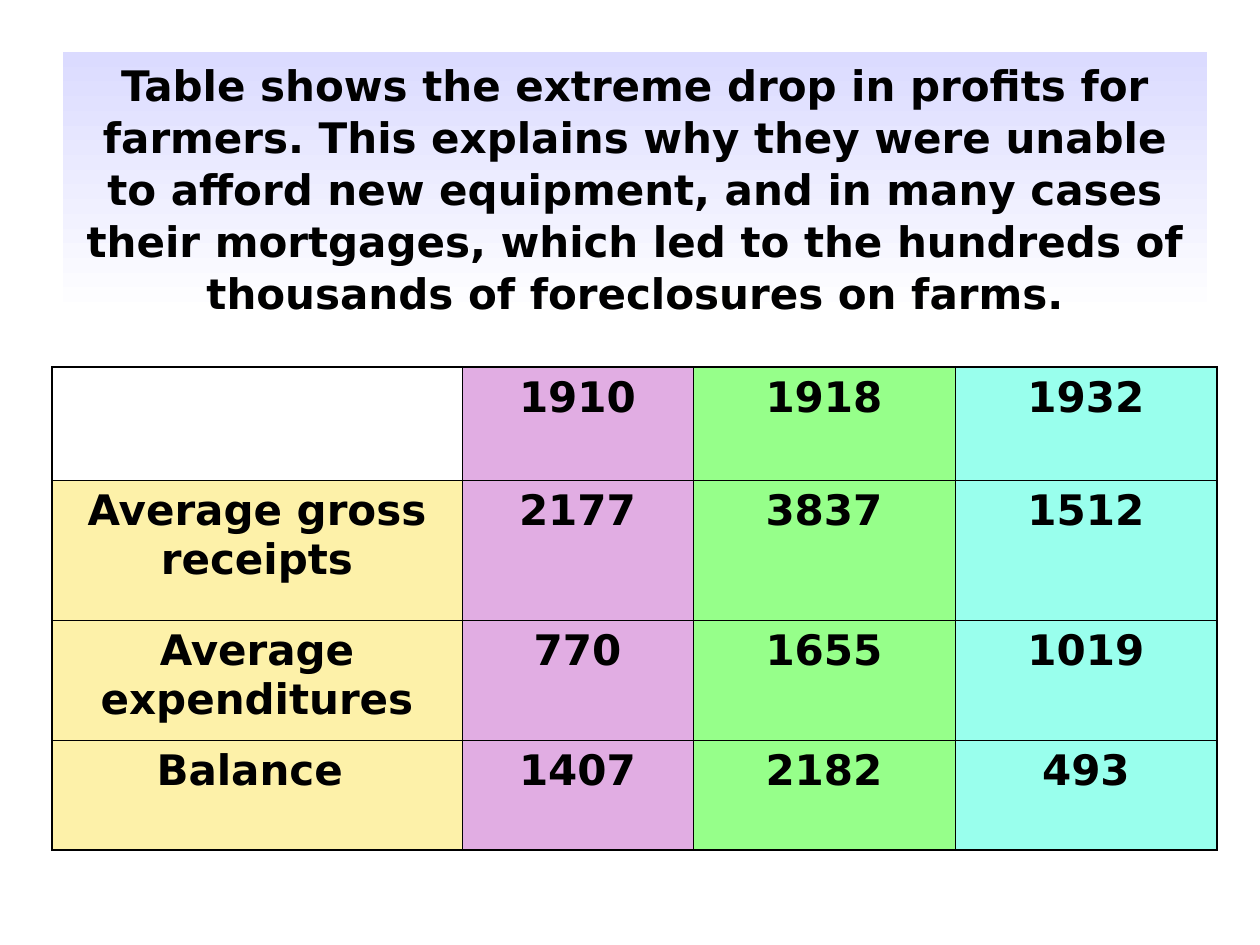
from lxml.etree import SubElement as Sub
from pptx import Presentation
from pptx.dml.color import RGBColor
from pptx.enum.shapes import MSO_SHAPE as Shape
from pptx.enum.text import MSO_ANCHOR as Anchor, PP_ALIGN as Align
from pptx.oxml.ns import qn
from pptx.util import Pt

SCALE = 914400 / 126  # EMU in one px


def px(*nums):
    return [round(n * SCALE) for n in nums]


def color(code):
    return RGBColor.from_string(code)


def write(frame, text, size=24, bold=True, ink="000000", font="DejaVu Sans",
          align=Align.CENTER, lead=None):
    frame.word_wrap = True
    para = frame.paragraphs[0]
    para.alignment = align
    para.line_spacing = lead
    run = para.add_run()
    run.text = text
    run.font.name, run.font.size, run.font.bold = font, Pt(size), bold
    run.font.color.rgb = color(ink)


class Deck:
    thin, thick, ink = 0.45, 1.08, "000000"

    def __init__(self, wide, high):
        self.prs = Presentation()
        self.prs.slide_width, self.prs.slide_height = px(wide, high)
        self.slide = self.prs.slides.add_slide(self.prs.slide_layouts[6])

    def banner(self, box, text, top, base):
        rect = self.slide.shapes.add_shape(Shape.RECTANGLE, *px(*box))
        rect.shadow.inherit = False
        rect.line.fill.background()
        rect.fill.gradient()
        rect.fill.gradient_angle = 270  # runs downward
        for stop, code in zip(rect.fill.gradient_stops, (top, base)):
            stop.color.rgb = color(code)
        rect.text_frame.vertical_anchor = Anchor.TOP
        write(rect.text_frame, text, lead=1.03)

    def edge(self, cell, side, width):
        line = Sub(cell._tc.get_or_add_tcPr(), qn("a:ln" + side),
                   w=str(Pt(width)))
        fill = Sub(line, qn("a:solidFill"))
        Sub(fill, qn("a:srgbClr"), val=self.ink)

    def table(self, left, top, cols, rows, data, fills):
        box = px(left, top, sum(cols), sum(rows))
        grid = self.slide.shapes.add_table(len(rows), len(cols), *box).table
        grid.first_row = grid.horz_banding = False
        for col, wide in zip(grid.columns, px(*cols)):
            col.width = wide
        for row, high in zip(grid.rows, px(*rows)):
            row.height = high
        for r, line in enumerate(data):
            for c, text in enumerate(line):
                cell = grid.cell(r, c)
                # Outer edges are thicker than inner ones
                outer = {"L": c == 0, "R": c == len(cols) - 1,
                         "T": r == 0, "B": r == len(rows) - 1}
                for side, out in outer.items():
                    self.edge(cell, side, self.thick if out else self.thin)
                if text:
                    cell.fill.solid()
                    cell.fill.fore_color.rgb = color(fills[c])
                    write(cell.text_frame, text)
                else:
                    cell.fill.background()


def main():
    deck = Deck(1260, 945)

    # Farm income table
    data = [
        ("", "1910", "1918", "1932"),
        ("Average gross receipts", "2177", "3837", "1512"),
        ("Average expenditures", "770", "1655", "1019"),
        ("Balance ", "1407", "2182", "493"),
    ]
    deck.table(52, 367, (410, 231, 262, 262), (113, 140, 120, 110), data,
               ("FDF1A9", "E1ADE3", "96FF8A", "99FFED"))

    # Explanation above the table
    deck.banner(
        (63, 52, 1144, 265),
        "Table shows the extreme drop in profits for farmers. This explains "
        "why they were unable to afford new equipment, and in many cases "
        "their mortgages, which led to the hundreds of thousands of "
        "foreclosures on farms.", "DBDBFF", "FFFFFF")

    deck.prs.save("out.pptx")


if __name__ == "__main__":
    main()
